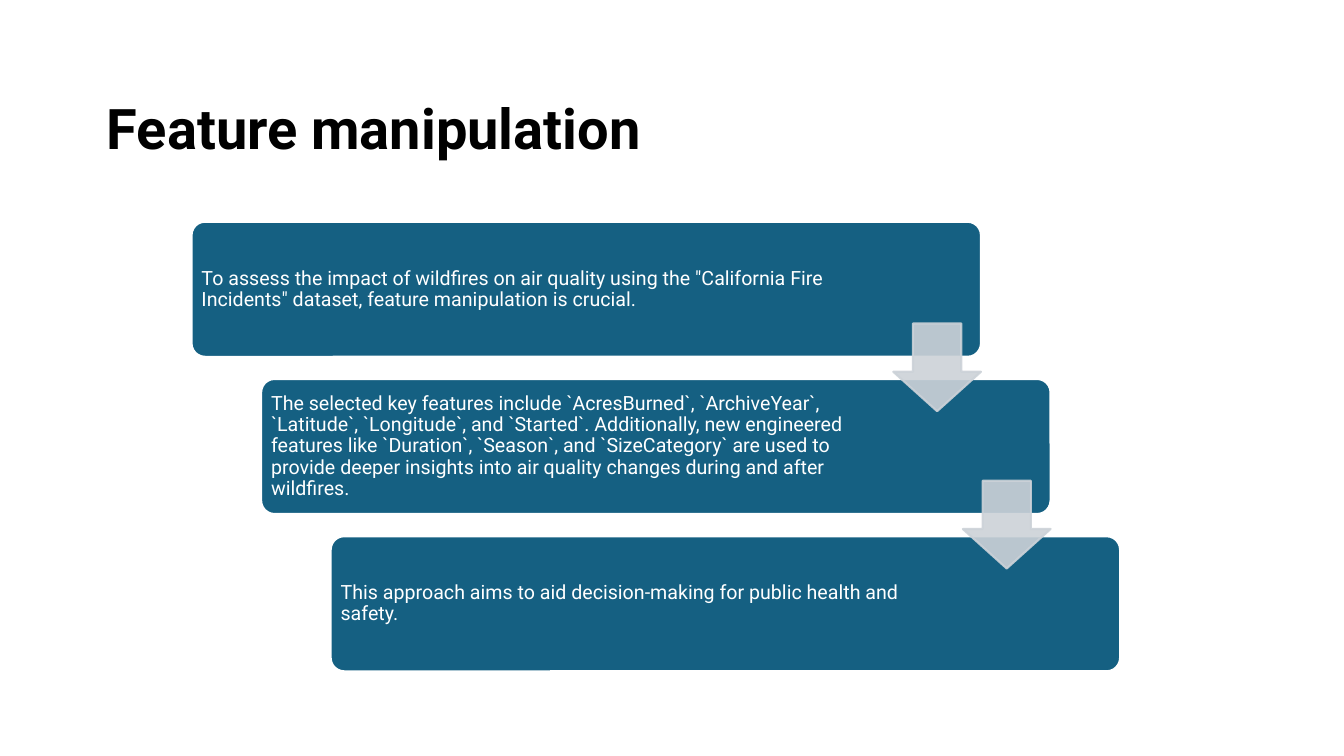
from lxml.etree import SubElement
from pptx import Presentation
from pptx.dml.color import RGBColor
from pptx.enum.shapes import MSO_SHAPE
from pptx.enum.text import MSO_ANCHOR, MSO_AUTO_SIZE, PP_ALIGN
from pptx.oxml.ns import qn
from pptx.util import Pt

EMU_PER_PX = 9144  # 100 px to the inch
FONT = "Roboto"
WHITE, BLACK, TEAL, SILVER = "FFFFFF", "000000", "156082", "CCD2D8"

# Staircase: each box is shifted from the one before it
STEP_WIDTH, STEP_HEIGHT = 783, 134
SHIFT_X, SHIFT_Y = 69, 156
ARROW_SIZE, ARROW_TOP = 87, 101

# Text and right margin of each step
STEPS = [
    ('To assess the impact of wildfires on air quality using the '
     '"California Fire Incidents" dataset, feature manipulation is crucial.\u00a0', 143),
    ("The selected key features include `AcresBurned`, `ArchiveYear`, `Latitude`, "
     "`Longitude`, and `Started`. Additionally, new engineered features like "
     "`Duration`, `Season`, and `SizeCategory` are used to provide deeper insights "
     "into air quality changes during and after wildfires.", 162),
    ("This approach aims to aid decision-making for public health and safety.", 162),
]


def px(length):
    return length * EMU_PER_PX


def color(value):
    return RGBColor.from_string(value)


def set_text(frame, text, size, hex_color, anchor, bold=False):
    frame.text = text
    frame.word_wrap = True
    frame.auto_size = MSO_AUTO_SIZE.NONE
    frame.vertical_anchor = anchor
    para = frame.paragraphs[0]
    para.alignment = PP_ALIGN.LEFT
    para.line_spacing = 0.9
    font = para.runs[0].font
    font.name, font.size, font.bold = FONT, Pt(size), bold
    font.color.rgb = color(hex_color)


def add_block(slide, preset, box, adjustments, fill, line):
    shape = slide.shapes.add_shape(preset, *map(px, box))
    shape.shadow.inherit = False
    for index, value in enumerate(adjustments):
        shape.adjustments[index] = value
    shape.fill.solid()
    shape.fill.fore_color.rgb = color(fill)
    shape.line.color.rgb = color(line)
    shape.line.width = Pt(1.5)
    return shape


def add_title(slide, box):
    title = slide.shapes.title
    title.left, title.top, title.width, title.height = map(px, box)
    set_text(title.text_frame, "Feature manipulation", 40, BLACK,
             MSO_ANCHOR.BOTTOM, bold=True)


def add_step(slide, left, top, text, right_margin):
    box = (left, top, STEP_WIDTH, STEP_HEIGHT)
    step = add_block(slide, MSO_SHAPE.ROUNDED_RECTANGLE, box, [0.1], TEAL, WHITE)
    frame = step.text_frame
    frame.margin_left = frame.margin_top = frame.margin_bottom = px(6)
    frame.margin_right = px(right_margin)
    set_text(frame, text, 14, WHITE, MSO_ANCHOR.MIDDLE)


def add_arrow(slide, left, top):
    box = (left, top, ARROW_SIZE, ARROW_SIZE)
    arrow = add_block(slide, MSO_SHAPE.DOWN_ARROW, box, [0.55, 0.45], SILVER, SILVER)
    # Fill and outline are 90% opaque
    for paint in arrow.element.spPr.iter(qn("a:srgbClr")):
        SubElement(paint, qn("a:alpha")).set("val", "90000")


def add_staircase(slide, left, top):
    corners = [(left + index * SHIFT_X, top + index * SHIFT_Y)
               for index in range(len(STEPS))]
    for (step_left, step_top), (text, right_margin) in zip(corners, STEPS):
        add_step(slide, step_left, step_top, text, right_margin)
    # Arrows sit on top, flush with the right edge of the upper step
    for step_left, step_top in corners[:-1]:
        add_arrow(slide, step_left + STEP_WIDTH - ARROW_SIZE, step_top + ARROW_TOP)


def main():
    deck = Presentation()
    deck.slide_width, deck.slide_height = px(1333), px(750)
    slide = deck.slides.add_slide(deck.slide_layouts.get_by_name("Title Only"))
    add_title(slide, (96, 69, 599, 96))
    add_staircase(slide, 190, 220)
    deck.save("out.pptx")


if __name__ == "__main__":
    main()
